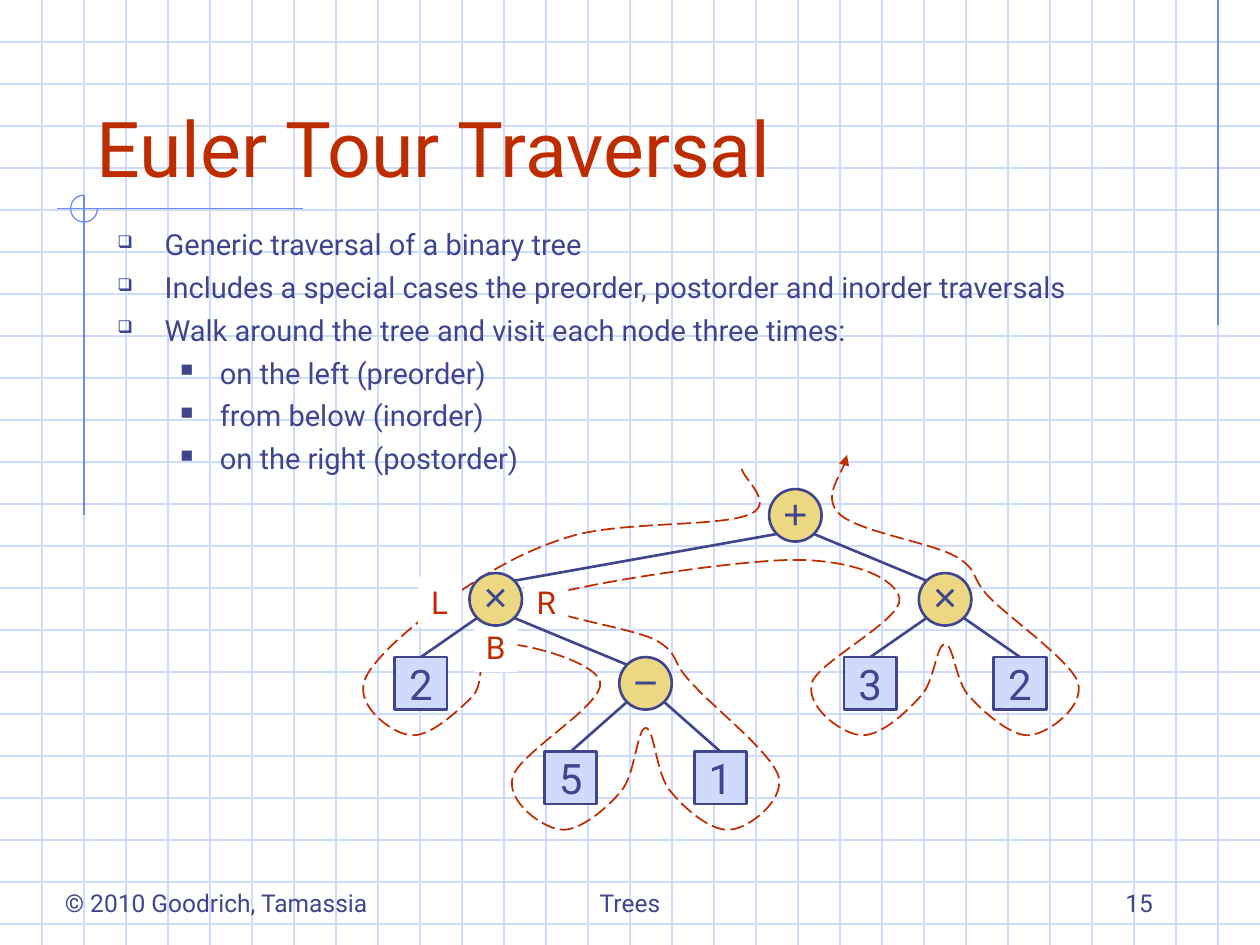
from dataclasses import dataclass
from itertools import count
from typing import Optional

from lxml import etree
from pptx import Presentation
from pptx.dml.color import RGBColor
from pptx.enum.dml import MSO_LINE
from pptx.enum.shapes import MSO_CONNECTOR as CONN, MSO_SHAPE as SHAPE
from pptx.enum.text import MSO_ANCHOR as ANCHOR, PP_ALIGN as ALIGN
from pptx.oxml.ns import qn
from pptx.util import Pt

GRID = RGBColor(0xCF, 0xDB, 0xFD)
ACCENT = RGBColor(0x6F, 0x89, 0xF7)
NAVY = RGBColor(0x40, 0x45, 0x8C)
RED = RGBColor(0xBE, 0x2D, 0x00)
GOLD = RGBColor(0xEC, 0xD8, 0x82)
WHITE = RGBColor(0xFF, 0xFF, 0xFF)

WIDTH, HEIGHT = 720, 540
BULLETS = [
    (0, "Generic traversal of a binary tree"),
    (0, "Includes a special cases the preorder, postorder and inorder traversals"),
    (0, "Walk around the tree and visit each node three times:"),
    (1, "on the left (preorder)"),
    (1, "from below (inorder)"),
    (1, "on the right (postorder)"),
]
# Bullet sign, left margin and hanging indent of each level
LEVELS = [("❑", 27, 27), ("■", 58.5, 22.5)]

# Expression (2 × (5 − 1)) + (3 × 2) as (operator, left, right)
TREE = ("+", ("×", "2", ("−", "5", "1")), ("×", "3", "2"))
NODE = 30
COLUMN_GAP = 42.8
LEVEL_TOPS = [0, 48, 96, 150]

# Where the tour passes, as offsets from the centre of a node
LEFT_VISIT, BELOW_VISIT, RIGHT_VISIT = (-26, 0), (0, 25), (26, 0)
LEFT_SHOULDER, RIGHT_SHOULDER = (45, -36), (6, -24)
LEFT_LEAF_LOOP = [(-33, 0), (-6, 30), (29, 8)]
RIGHT_LEAF_LOOP = [(-dx, dy) for dx, dy in reversed(LEFT_LEAF_LOOP)]
TOUR_START, TOUR_END = (-31, -26), (30, -34)
VISIT_LABELS = [("L", -32, 1.5), ("B", 0, 27), ("R", 29, 1.5)]


@dataclass
class Node:
    text: str
    x: float  # centre
    y: float
    left: Optional["Node"] = None
    right: Optional["Node"] = None

    def at(self, offset):
        return self.x + offset[0], self.y + offset[1]


def add_line(s, x1, y1, x2, y2, color, width=0.75):
    line = s.shapes.add_connector(CONN.STRAIGHT, Pt(x1), Pt(y1), Pt(x2), Pt(y2))
    line.line.color.rgb = color
    line.line.width = Pt(width)
    etree.SubElement(line._element.spPr, qn("a:effectLst"))
    return line


def set_paragraph(p, text, size, color, align=ALIGN.LEFT, font="Roboto"):
    p.text = text
    p.alignment = align
    p.font.size = Pt(size)
    p.font.name = font
    p.font.color.rgb = color


def add_text(s, x, y, w, h, text, size, color, align=ALIGN.LEFT):
    tf = s.shapes.add_textbox(Pt(x), Pt(y), Pt(w), Pt(h)).text_frame
    tf.word_wrap = True
    tf.vertical_anchor = ANCHOR.BOTTOM
    set_paragraph(tf.paragraphs[0], text, size, color, align)


def add_box(s, kind, cx, cy, w, h, fill, text, size, color, font="Roboto"):
    """Add a filled shape with one centred text around the point cx, cy."""
    sp = s.shapes.add_shape(kind, Pt(cx - w / 2), Pt(cy - h / 2), Pt(w), Pt(h))
    sp.shadow.inherit = False
    sp.fill.solid()
    sp.fill.fore_color.rgb = fill
    sp.line.fill.background()
    tf = sp.text_frame
    tf.word_wrap = False
    tf.vertical_anchor = ANCHOR.MIDDLE
    set_paragraph(tf.paragraphs[0], text, size, color, ALIGN.CENTER, font)
    return sp


def add_background(s, w, h, step=24):
    # Graph paper
    for y in range(step, h, step):
        add_line(s, 0, y, w, y, GRID)
    for x in range(step, w, step):
        add_line(s, x, 0, x, h, GRID)
    # Margin lines, with an open circle where two of them cross
    cross_x, cross_y, radius = 2 * step, 119.2, 7.7
    add_line(s, w - step, 0, w - step, 186, ACCENT)
    add_line(s, 32.5, cross_y, 173, cross_y, ACCENT)
    add_line(s, cross_x, cross_y - radius, cross_x, 294.5, ACCENT)
    arc = s.shapes.add_shape(SHAPE.ARC, Pt(cross_x - radius), Pt(cross_y - radius),
                             Pt(2 * radius), Pt(2 * radius))
    arc.adjustments[0], arc.adjustments[1] = 0, 162
    arc.shadow.inherit = False
    arc.fill.background()
    arc.line.color.rgb = ACCENT
    arc.line.width = Pt(0.75)


def add_bullets(s, x, y, w, h):
    tf = s.shapes.add_textbox(Pt(x), Pt(y), Pt(w), Pt(h)).text_frame
    tf.word_wrap = True
    for i, (level, text) in enumerate(BULLETS):
        p = tf.add_paragraph() if i else tf.paragraphs[0]
        set_paragraph(p, text, 16.6, NAVY)
        p.level = level
        p.space_before = Pt(4.5)
        sign, margin, hang = LEVELS[level]
        pPr = p._p.get_or_add_pPr()
        pPr.set("marL", str(Pt(margin)))
        pPr.set("indent", str(-Pt(hang)))
        size = etree.Element(qn("a:buSzPct"), val="60000")
        pPr.find(qn("a:defRPr")).addprevious(size)
        size.addnext(etree.Element(qn("a:buChar"), char=sign))


def lay_out(tree, x, y, columns, level=0):
    """Give each node the next column in inorder and the row of its level."""
    operator, *children = tree
    left = lay_out(children[0], x, y, columns, level + 1) if children else None
    node = Node(operator, x + next(columns) * COLUMN_GAP + NODE / 2,
                y + LEVEL_TOPS[level] + NODE / 2, left)
    if children:
        node.right = lay_out(children[1], x, y, columns, level + 1)
    return node


def tour_stops(node, is_left=None):
    """List the points of the Euler tour around a subtree; a root has no side."""
    if not node.left:
        return [node.at(o) for o in (LEFT_LEAF_LOOP if is_left else RIGHT_LEAF_LOOP)]
    before = {None: TOUR_START, True: LEFT_SHOULDER}.get(is_left)
    after = {None: TOUR_END, False: RIGHT_SHOULDER}.get(is_left)
    stops = [node.at(LEFT_VISIT), *tour_stops(node.left, True),
             node.at(BELOW_VISIT), *tour_stops(node.right, False),
             node.at(RIGHT_VISIT)]
    # Pass under the root on the way from its left to its right subtree
    return ([node.at(before)] if before else []) + stops + (
        [node.at(after)] if after else [])


def smooth_curve(stops):
    """Return two control points and an end point for each Catmull-Rom piece."""
    padded = [stops[0], *stops, stops[-1]]
    points = []
    for a, b, c, d in zip(padded, padded[1:], padded[2:], padded[3:]):
        points.append(tuple(q + (r - p) / 6 for p, q, r in zip(a, b, c)))
        points.append(tuple(r - (t - q) / 6 for q, r, t in zip(b, c, d)))
        points.append(c)
    return points


def add_tour(s, root):
    stops = tour_stops(root)
    builder = s.shapes.build_freeform(*stops[0], scale=Pt(1))
    builder.add_line_segments(smooth_curve(stops), close=False)
    sp = builder.convert_to_shape()
    # Merge every three segments into one Bézier curve
    segments = list(sp._element.iter(qn("a:lnTo")))
    for trio in zip(segments[::3], segments[1::3], segments[2::3]):
        curve = etree.Element(qn("a:cubicBezTo"))
        trio[0].addprevious(curve)
        for segment in trio:
            curve.append(segment[0])
            segment.getparent().remove(segment)
    sp.shadow.inherit = False
    sp.fill.background()
    sp.line.color.rgb = RED
    sp.line.width = Pt(1)
    sp.line.dash_style = MSO_LINE.LONG_DASH
    etree.SubElement(sp.line._get_or_add_ln(), qn("a:tailEnd"), type="triangle")
    # Left, below and right visits of the left operator
    for text, *offset in VISIT_LABELS:
        add_box(s, SHAPE.RECTANGLE, *root.left.at(offset), 25, 29, WHITE, text, 18, RED)


def add_tree(s, node):
    """Draw a subtree and return the shape of its root."""
    if node.left:
        sp = add_box(s, SHAPE.OVAL, node.x, node.y, NODE, NODE, GOLD,
                     node.text, 24, NAVY, "Arial")
        tf = sp.text_frame
        tf.margin_left = tf.margin_right = tf.margin_top = 0
    else:
        sp = add_box(s, SHAPE.RECTANGLE, node.x, node.y, NODE, NODE, GRID,
                     node.text, 24, NAVY)
    sp.line.color.rgb = NAVY
    sp.line.width = Pt(1.5)
    # Edges run between the diagonal points of circles, or to the top of a leaf
    reach = NODE / 2 * 0.71
    for child, side in ((node.left, -1), (node.right, 1)):
        if child:
            child_sp = add_tree(s, child)
            edge = add_line(s, *node.at((side * reach, reach)),
                            *child.at((-side * reach, -reach)), NAVY, 1.5)
            if not child.left:
                edge.end_connect(child_sp, 0)
    return sp


def add_footer(s, y, h):
    add_text(s, 30, y, 198, h, "© 2010 Goodrich, Tamassia", 14, NAVY)
    add_text(s, 246, y, 228, h, "Trees", 14, NAVY, ALIGN.CENTER)
    add_text(s, 516, y, 150, h, "15", 14, NAVY, ALIGN.RIGHT)


def add_root_passage(stops, root):
    return stops + [root.at(BELOW_VISIT)]


def main():
    prs = Presentation()
    prs.slide_width, prs.slide_height = Pt(WIDTH), Pt(HEIGHT)
    s = prs.slides.add_slide(prs.slide_layouts[6])
    add_background(s, WIDTH, HEIGHT)
    add_text(s, 48, 24, 612, 90, "Euler Tour Traversal", 44, RED)
    add_bullets(s, 60, 126, 624, 168)
    root = lay_out(TREE, 225.5, 279.5, count())
    add_tour(s, root)
    add_tree(s, root)
    add_footer(s, 492, 36)
    prs.save("out.pptx")


if __name__ == "__main__":
    main()
